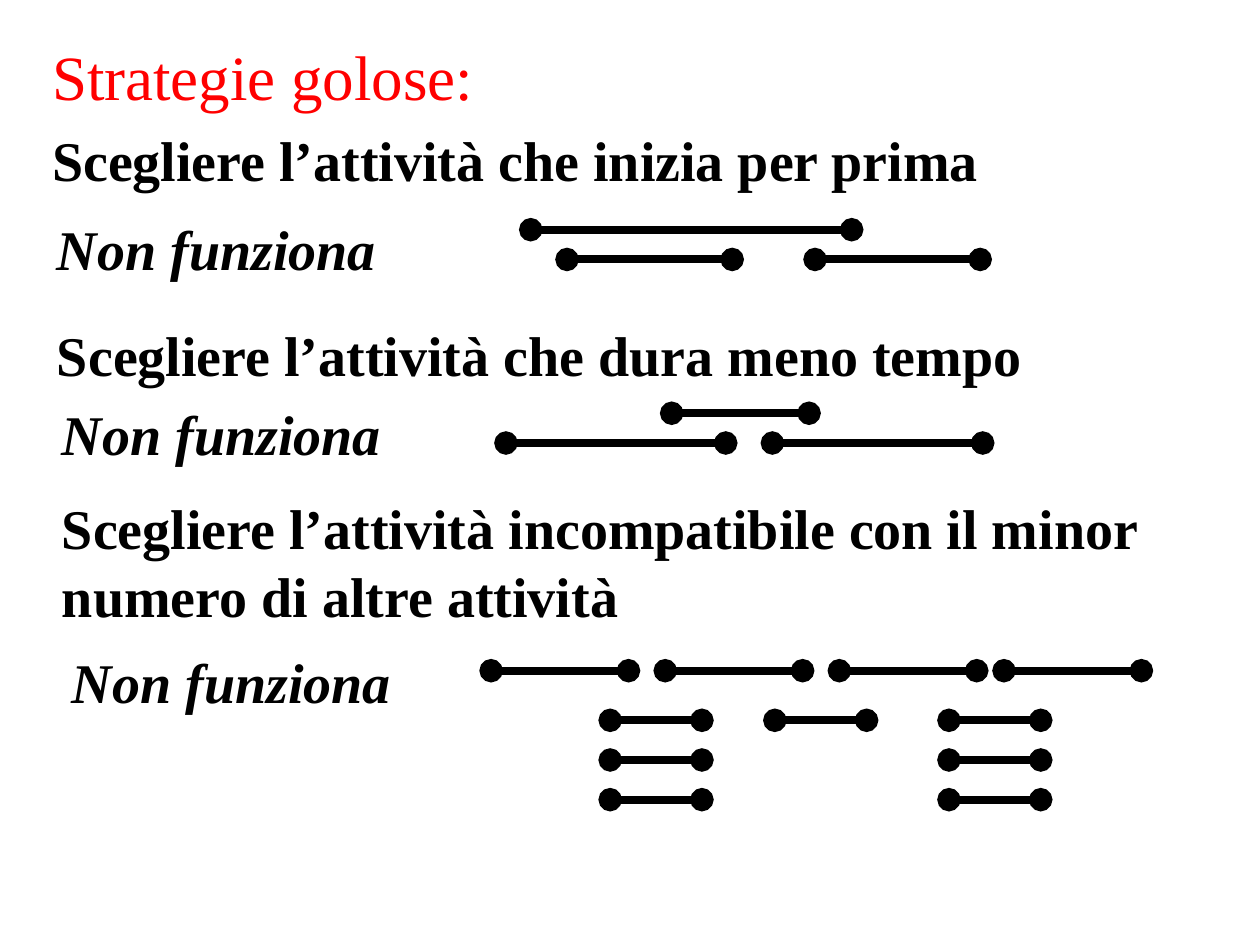
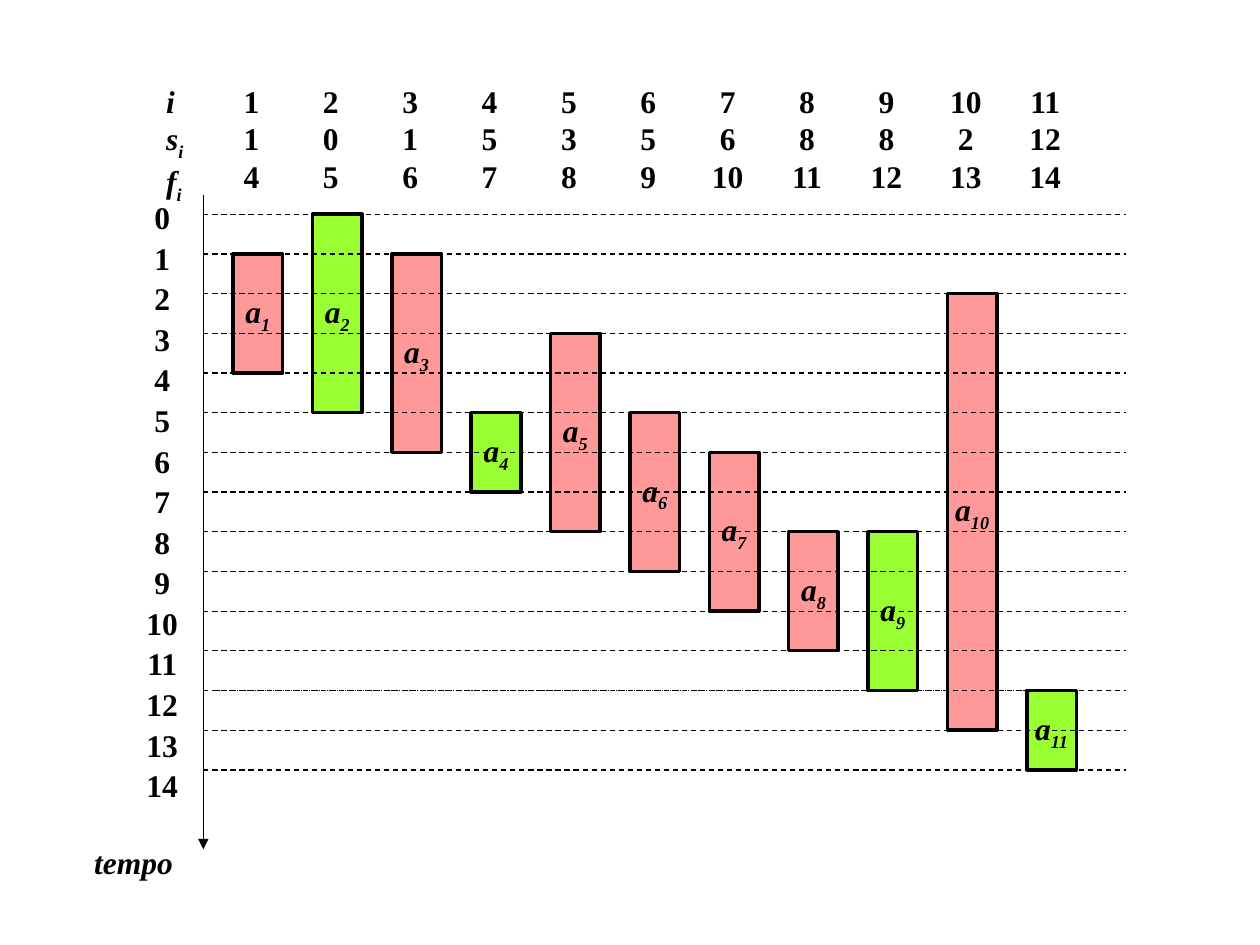
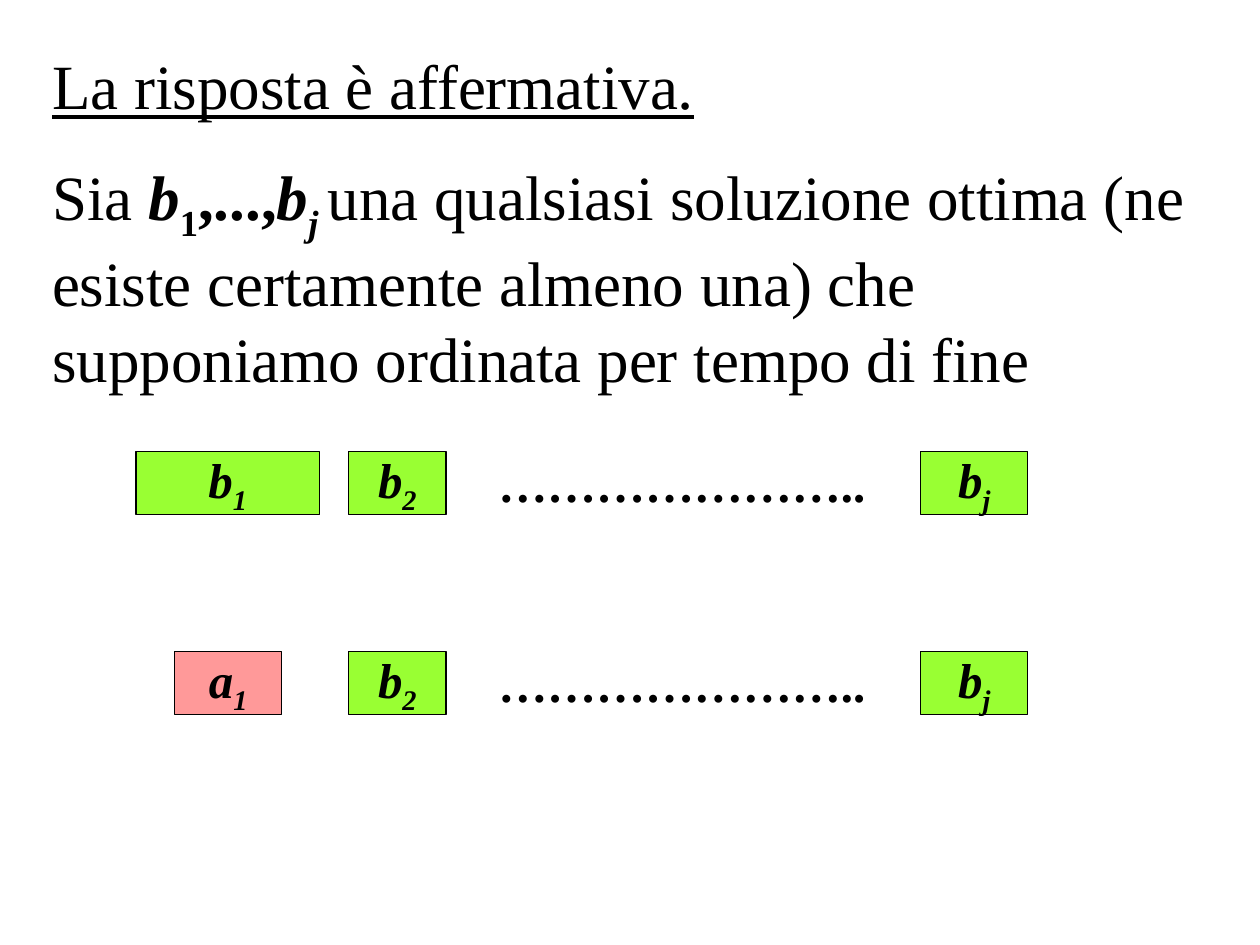
from lxml.etree import SubElement
from pptx import Presentation
from pptx.dml.color import RGBColor
from pptx.enum.dml import MSO_LINE as Dash
from pptx.enum.shapes import MSO_CONNECTOR as Link, MSO_SHAPE as Shape
from pptx.enum.text import MSO_ANCHOR as Anchor, PP_ALIGN as Align
from pptx.oxml.ns import qn
from pptx.util import Cm, Pt

FONT = "Times New Roman"
BLACK, RED, PINK, GREEN = "000000", "FF0000", "FF9999", "99FF33"
BOLD = {"bold": True}
STRONG = {"bold": True, "italic": True}
LOWER = -25000

COLUMN_STEP, HOUR, FIRST_HOUR = 1.6, 0.8, 4.32
AXIS, GRID_END = 4.1, 22.7
ACTIVITIES = [(1, 4), (0, 5), (1, 6), (5, 7), (3, 8), (5, 9),
              (6, 10), (8, 11), (8, 12), (2, 13), (12, 14)]
CHOSEN = {2, 4, 9, 11}


def color(value):
    """Turn a hex string into a colour."""
    return RGBColor.from_string(value)


def write(frame, paragraphs, size, ink=BLACK, align=Align.LEFT, before=0,
          anchor=Anchor.TOP, wrap=True):
    """Fill a text frame with paragraphs of (text, format, baseline) spans."""
    frame.word_wrap, frame.vertical_anchor = wrap, anchor
    for index, spans in enumerate(paragraphs):
        para = frame.add_paragraph() if index else frame.paragraphs[0]
        para.alignment = align
        para.space_before = Pt(before if index else 0)
        for text, style, baseline in spans:
            span = para.add_run()
            span.text = text
            for name, value in {"name": FONT, "size": Pt(size), **style}.items():
                setattr(span.font, name, value)
            span.font.color.rgb = color(ink)
            if baseline:
                span.font._element.set("baseline", str(baseline))


def add_text(shapes, place, paragraphs, size, **layout):
    """Add a text box at a place given in centimetres."""
    box = shapes.add_textbox(*map(Cm, place))
    write(box.text_frame, paragraphs, size, **layout)


def add_line(shapes, start, end, width=0.75, dash=None, head=None, tail=None):
    """Add a black connector with optional dash and ends."""
    line = shapes.add_connector(Link.STRAIGHT, *map(Cm, start + end))
    line.line.color.rgb = color(BLACK)
    line.line.width = Pt(width)
    if dash:
        line.line.dash_style = dash
    outline = line.line._get_or_add_ln()
    for tag, kind in (("a:headEnd", head), ("a:tailEnd", tail)):
        if kind:
            SubElement(outline, qn(tag)).set("type", kind)
    SubElement(line._element.spPr, qn("a:effectLst"))


def add_block(shapes, place, spans, size, fill, border):
    """Add a filled rectangle with a centred label."""
    block = shapes.add_shape(Shape.RECTANGLE, *map(Cm, place))
    block.shadow.inherit = False
    block.fill.solid()
    block.fill.fore_color.rgb = color(fill)
    block.line.color.rgb = color(BLACK)
    block.line.width = Pt(border)
    write(block.text_frame, [spans], size, align=Align.CENTER,
          anchor=Anchor.MIDDLE, wrap=False)


def plain(text, style=BOLD):
    """Make a paragraph of one span."""
    return [(text, style, 0)]


def indexed(letter, index):
    """Make the spans of a letter with a subscript."""
    return [(letter, STRONG, 0), (str(index), STRONG, LOWER)]


def add_intervals(page, intervals):
    """Group activities drawn as (left, top, length) lines with round ends."""
    group = page.shapes.add_group_shape()
    for left, top, length in intervals:
        add_line(group.shapes, (left, top), (left + length, top), 4.5,
                 head="oval", tail="oval")


def build_strategies(page):
    """Show three greedy strategies and their counterexamples."""
    add_text(page.shapes, (0.8, 0.64, 23.9, 1.8),
             [plain("Strategie golose:", {})], 36, ink=RED)
    strategies = [
        (0.8, 2.4, 1.63, "Scegliere l’attività che inizia per prima", 0.9, 4.2),
        (0.9, 6.33, 1.63, "Scegliere l’attività che dura meno tempo", 1, 7.93),
        (1, 9.83, 3, "Scegliere l’attività incompatibile con il minor "
         "numero di altre attività", 1.2, 12.93),
    ]
    for left, top, height, rule, verdict_left, verdict_top in strategies:
        add_text(page.shapes, (left, top, 23.6, height), [plain(rule)], 32)
        add_text(page.shapes, (verdict_left, verdict_top, 8.4, 1.63),
                 [plain("Non funziona", STRONG)], 32)
    add_intervals(page, [(10.7, 4.63, 6.47), (11.43, 5.23, 3.33), (16.43, 5.23, 3.33)])
    add_intervals(page, [(13.54, 8.33, 2.77), (10.2, 8.93, 4.43), (15.57, 8.93, 4.24)])
    chain = [(left, 13.52, 2.77) for left in (9.9, 13.41, 16.92, 20.24)]
    stacks = [(left, 14.52 + HOUR * row, 1.85)
              for left in (12.3, 19.13) for row in range(3)]
    add_intervals(page, chain + [(15.62, 14.52, 1.85)] + stacks)


def add_hour_line(page, hour):
    """Draw the dashed grid line of an hour."""
    top = FIRST_HOUR + HOUR * hour
    add_line(page.shapes, (AXIS, top), (GRID_END, top), dash=Dash.DASH)


def build_schedule(page):
    """Chart the activities along a downward time axis."""
    shapes = page.shapes
    add_text(shapes, (3.1, 1.52, 1.4, 2.57),
             [plain("i", STRONG), indexed("s", "i"), indexed("f", "i")], 18)
    add_line(shapes, (AXIS, 3.93), (AXIS, 17.12), tail="triangle")
    add_hour_line(page, 0)
    dotted_top = FIRST_HOUR + HOUR * 12
    add_line(shapes, (4.3, dotted_top), (21.66, dotted_top), dash=Dash.ROUND_DOT)
    add_text(shapes, (2.57, 3.87, 1.4, 12.3),
             [plain(str(hour)) for hour in range(15)], 18,
             align=Align.CENTER, before=1.6)
    add_text(shapes, (1.65, 16.87, 2.1, 1.02), [plain("tempo", STRONG)], 18, wrap=False)
    for number, (start, finish) in enumerate(ACTIVITIES, 1):
        shift = COLUMN_STEP * (number - 1)
        add_text(shapes, (4.47 + shift, 1.52, 1.2, 2.57),
                 [plain(str(value)) for value in (number, start, finish)], 18,
                 align=Align.CENTER)
        place = (4.7 + shift, FIRST_HOUR + HOUR * start, 1, HOUR * (finish - start))
        add_block(shapes, place, indexed("a", number), 18,
                  GREEN if number in CHOSEN else PINK, 2)
    for hour in range(1, 15):
        add_hour_line(page, hour)


def add_solution(shapes, top, first):
    """Draw a solution as a row of blocks that starts with the given one."""
    left, width, label, fill = first
    blocks = [(left, width, label, fill),
              (7.03, 1.96, indexed("b", 2), GREEN),
              (18.56, 2.16, indexed("b", "j"), GREEN)]
    for left, width, label, fill in blocks:
        add_block(shapes, (left, top, width, 1.27), label, 28, fill, 0.75)
    add_text(shapes, (9.78, top, 8, 1.27), [plain("…………………..", STRONG)], 28,
             align=Align.CENTER, anchor=Anchor.MIDDLE, wrap=False)


def build_answer(page):
    """Compare an optimal solution with the one that starts with a1."""
    underlined = {"underline": True}
    answer = [("La risposta è affermativa", underlined, 0),
              (".", {**underlined, "italic": True}, 0)]
    premise = [
        ("Sia ", {}, 0), ("b", STRONG, 0), ("1", BOLD, LOWER), (",...,", BOLD, 0),
        ("b", STRONG, 0), ("j ", STRONG, LOWER),
        ("una qualsiasi soluzione ottima (ne esiste certamente almeno una) "
         "che supponiamo ordinata per tempo di fine", {}, 0),
    ]
    add_text(page.shapes, (0.8, 0.82, 23.82, 7.2), [answer, premise], 36, before=20)
    add_solution(page.shapes, 9.1, (2.74, 3.7, indexed("b", 1), GREEN))
    group = page.shapes.add_group_shape()
    add_solution(group.shapes, 13.13, (3.52, 2.16, indexed("a", 1), PINK))


def main():
    """Build and save the deck."""
    deck = Presentation()
    deck.slide_width, deck.slide_height = Cm(25.4), Cm(19.05)
    for build in (build_strategies, build_schedule, build_answer):
        build(deck.slides.add_slide(deck.slide_layouts[6]))
    deck.save("out.pptx")


if __name__ == "__main__":
    main()
